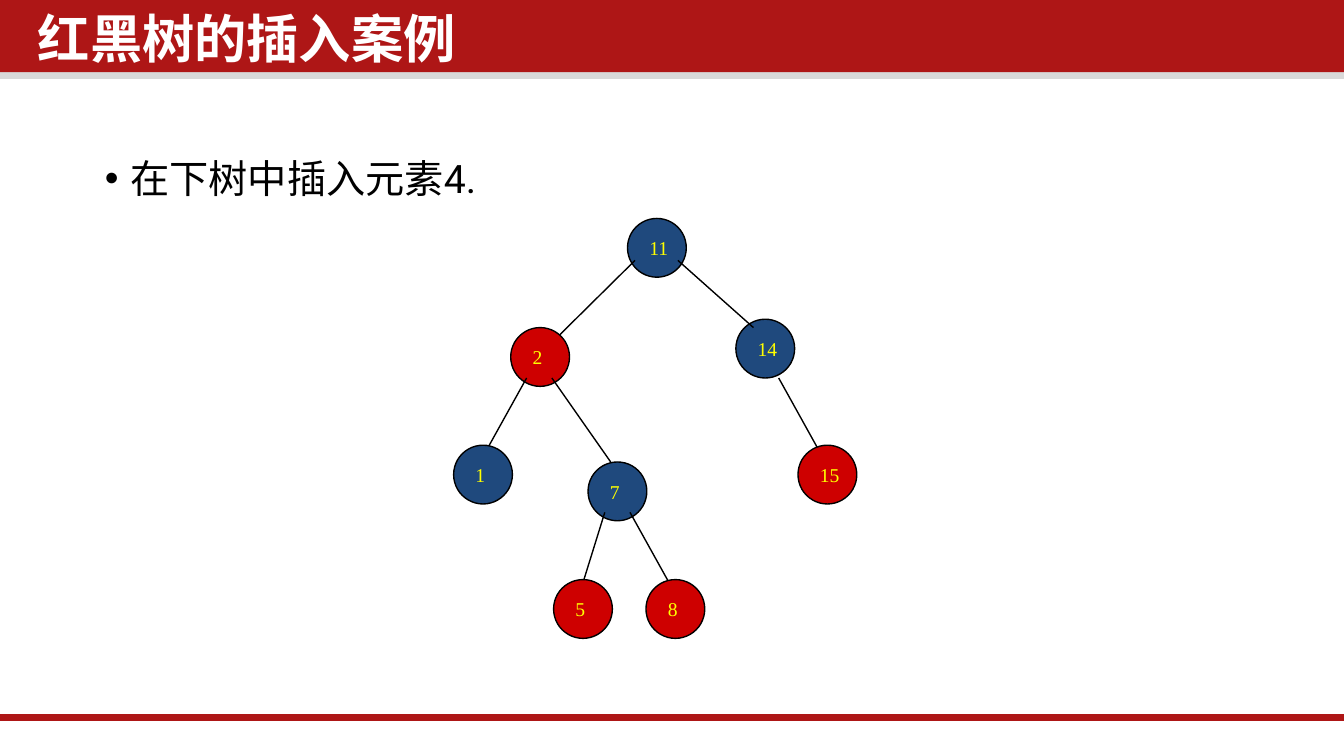
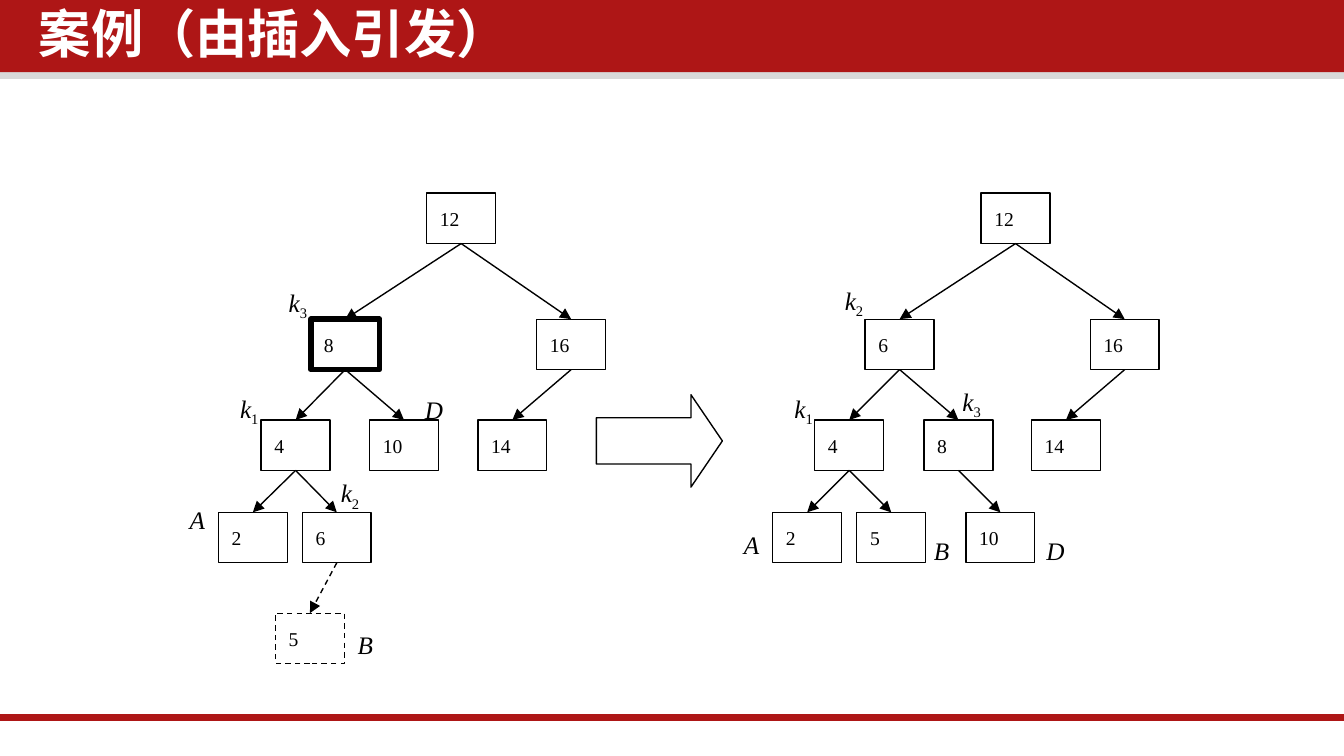
from lxml.etree import SubElement
from pptx import Presentation
from pptx.dml.color import RGBColor
from pptx.enum.dml import MSO_LINE as Dash
from pptx.enum.shapes import MSO_CONNECTOR as Link, MSO_SHAPE as Kind
from pptx.enum.text import MSO_ANCHOR as Anchor, MSO_AUTO_SIZE as Fit, PP_ALIGN as Align
from pptx.oxml.ns import qn
from pptx.util import Inches, Pt

COLS, ROWS = 160, 90
CELL = 1 / 16
RED, GREY, BLACK, WHITE = "AE1616", "D9D9D9", "000000", "FFFFFF"
NAVY, CRIMSON, YELLOW = "1F497D", "CE0000", "FFFF00"
SERIF, HAN, SANS = "Times New Roman", "Noto Sans CJK SC", "Roboto"
NODE = {"size": Pt(10.5), "name": SERIF}
LABEL = {"size": Pt(13.5), "name": SERIF, "italic": True}
TITLE = {"size": Pt(28), "name": HAN, "bold": True}
BODY = {"size": Pt(21), "name": SANS}

CIRCLES = {
    "7": (16, 29, NAVY), "11": (20.7, 0, NAVY), "2": (6.8, 13, CRIMSON),
    "14": (33.6, 12, NAVY), "1": (0, 27, NAVY), "5": (11.9, 43, CRIMSON),
    "8": (22.9, 43, CRIMSON), "15": (41, 27, CRIMSON),
}
INNER = ("7", "11", "2", "14")
EDGES = [
    (21.6, 5, 12.6, 13.9), (26.7, 5, 35.7, 13), (8.7, 19, 3.7, 28),
    (11.7, 19, 18.7, 29), (38.7, 19, 43.7, 28), (21, 35, 26, 44),
    (18, 35, 14.9, 45),
]
LEVELS = (0, 15, 27, 38, 50)
BEFORE = {
    "nodes": {"12": (24.8, 0), "8": (11, 1), "16": (37.9, 1), "14": (30.9, 2),
              "10": (18, 2), "4": (5.1, 2), "6": (10, 3), "2": (0, 3), "5": (6.8, 4)},
    "links": ["12 8", "12 16", "16 14", "8 10", "8 4", "4 6", "4 2", "6 5"],
    "labels": {"k3": (6.8, 10.4), "k1": (1, 23), "D": (23, 23.2),
               "A": (-5, 36.2), "B": (15, 51.2), "k2": (13, 33.1)},
    "bold": "8", "dashed": "5",
}
AFTER = {
    "nodes": {"12": (24.8, 0), "6": (11, 1), "16": (37.8, 1), "14": (30.8, 2),
              "8": (18, 2), "4": (5, 2), "5": (10, 3), "2": (0, 3), "10": (23, 3)},
    "links": ["12 6", "12 16", "16 14", "6 8", "6 4", "4 5", "4 2", "8 10"],
    "labels": {"k3": (21, 22.2), "k1": (1, 23), "D": (31, 40),
               "A": (-5, 39.2), "B": (17.6, 40), "k2": (7, 10.2)},
}


def cells(*nums):
    """Turn grid cells into lengths."""
    return [Inches(n * CELL) for n in nums]


def tint(part, code):
    """Paint a fill, line or font from a hex string."""
    if hasattr(part, "solid"):
        part.solid()
    color = part.fore_color if hasattr(part, "fore_color") else part.color
    color.rgb = RGBColor.from_string(code)


def style(part, vals):
    """Set each attribute named in a dict."""
    for key, val in vals.items():
        setattr(part, key, val)


def write(para, text, form, code):
    """Add a styled run to a paragraph."""
    run = para.add_run()
    run.text = text
    style(run.font, form)
    tint(run.font, code)
    if form["name"] != SERIF:
        SubElement(run._r.get_or_add_rPr(), qn("a:ea"), typeface=HAN)
    return run


def shape(slide, kind, box, fill=None, line=None, width=0.75):
    """Draw a preset shape on the grid."""
    item = slide.shapes.add_shape(kind, *cells(*box))
    item.shadow.inherit = False
    if fill:
        tint(item.fill, fill)
    else:
        item.fill.background()
    if line:
        tint(item.line, line)
        item.line.width = Pt(width)
    else:
        item.line.fill.background()
    return item


def join(slide, ends, code=BLACK, width=0.75, head=False):
    """Draw a straight line, with an arrowhead if asked."""
    item = slide.shapes.add_connector(Link.STRAIGHT, *cells(*ends))
    tint(item.line, code)
    item.line.width = Pt(width)
    SubElement(item._element.spPr, qn("a:effectLst"))
    if head:
        SubElement(item.line._get_or_add_ln(), qn("a:tailEnd"), type="triangle")
    return item


def node(slide, kind, box, text, code, **look):
    """Draw a tree node with its key."""
    item = shape(slide, kind, box, line=BLACK, **look)
    frame = item.text_frame
    style(frame, {"word_wrap": False, "vertical_anchor": Anchor.MIDDLE})
    frame.paragraphs[0].alignment = Align.LEFT
    write(frame.paragraphs[0], text, NODE, code)
    return item


def label(slide, x, y, text):
    """Place an italic letter with an optional subscript."""
    wide = 5 if text in "AB" else 5.4
    frame = slide.shapes.add_textbox(*cells(x, y, wide, 5.2)).text_frame
    style(frame, {"word_wrap": False, "auto_size": Fit.SHAPE_TO_FIT_TEXT})
    para = frame.paragraphs[0]
    write(para, text[0], LABEL, BLACK)
    if text[1:]:
        low = write(para, text[1:], LABEL | {"italic": False}, BLACK)
        low._r.get_or_add_rPr().set("baseline", "-25000")


def base(deck, title, x, y):
    """Start a slide with its bands and title."""
    slide = deck.slides.add_slide(deck.slide_layouts[6])
    shape(slide, Kind.RECTANGLE, (0, 8, COLS, 1.4), GREY)
    shape(slide, Kind.RECTANGLE, (0, 0, COLS, 8.6), RED)
    join(slide, (0, 85.4, COLS, 85.4), RED, 4)
    frame = slide.shapes.add_textbox(*cells(x, y, 122.2, 9.4)).text_frame
    side, edge = Inches(0.07), Inches(0.04)
    style(frame, {"word_wrap": True, "margin_left": side, "margin_right": side,
                  "margin_top": edge, "margin_bottom": edge})
    frame.paragraphs[0].line_spacing = 0.9
    write(frame.paragraphs[0], title, TITLE, WHITE)
    return slide


def bullet(slide, box, text):
    """Write a bulleted line."""
    frame = slide.shapes.add_textbox(*cells(*box)).text_frame
    frame.word_wrap = True
    para = frame.paragraphs[0]
    para.line_spacing = 0.9
    props = para._p.get_or_add_pPr()
    props.set("marL", str(Inches(0.19)))
    props.set("indent", str(-Inches(0.19)))
    SubElement(props, qn("a:buFont"), typeface="Arial")
    SubElement(props, qn("a:buChar"), char="•")
    write(para, text, BODY, BLACK)


def rounds(slide, x, y):
    """Draw the red-black tree, with edges between inner nodes and leaves."""
    def ring(key):
        col, row, fill = CIRCLES[key]
        node(slide, Kind.OVAL, (x + col, y + row, 7, 7), key, YELLOW, fill=fill)

    for key in INNER:
        ring(key)
    for a, b, c, d in EDGES:
        join(slide, (x + a, y + b, x + c, y + d))
    for key in CIRCLES:
        if key not in INNER:
            ring(key)


def boxes(slide, x, y, tree):
    """Draw a tree of boxes with arrows and labels."""
    made = {}
    for key, (col, level) in tree["nodes"].items():
        width = 3 if key == tree.get("bold") else 0.75
        place = (x + col, y + LEVELS[level], 8.2, 6)
        made[key] = node(slide, Kind.RECTANGLE, place, key, BLACK, width=width)
    for text, (col, row) in tree["labels"].items():
        label(slide, x + col, y + row, text)
    for pair in tree["links"]:
        top, low = pair.split()
        link = join(slide, (0, 0, 1, 1), head=True)
        link.begin_connect(made[top], 2)
        link.end_connect(made[low], 0)
        if low == tree.get("dashed"):
            for item in (link, made[low]):
                item.line.dash_style = Dash.DASH


def insert(deck):
    """Build the insertion slide."""
    slide = base(deck, "红黑树的插入案例", 3.4, 1)
    rounds(slide, 54, 26)
    bullet(slide, (10.9, 18.2, 142, 55.5), "在下树中插入元素4.")


def rotate(deck):
    """Build the rotation slide."""
    slide = base(deck, "案例（由插入引发）", 3.5, 0.3)
    boxes(slide, 26, 23, BEFORE)
    arrow = shape(slide, Kind.RIGHT_ARROW, (71, 47, 15, 11), WHITE, BLACK)
    arrow.adjustments[1] = 0.34
    boxes(slide, 92, 23, AFTER)


def main():
    """Build and save the deck."""
    deck = Presentation()
    deck.slide_width, deck.slide_height = cells(COLS, ROWS)
    insert(deck)
    rotate(deck)
    deck.save("out.pptx")


if __name__ == "__main__":
    main()
